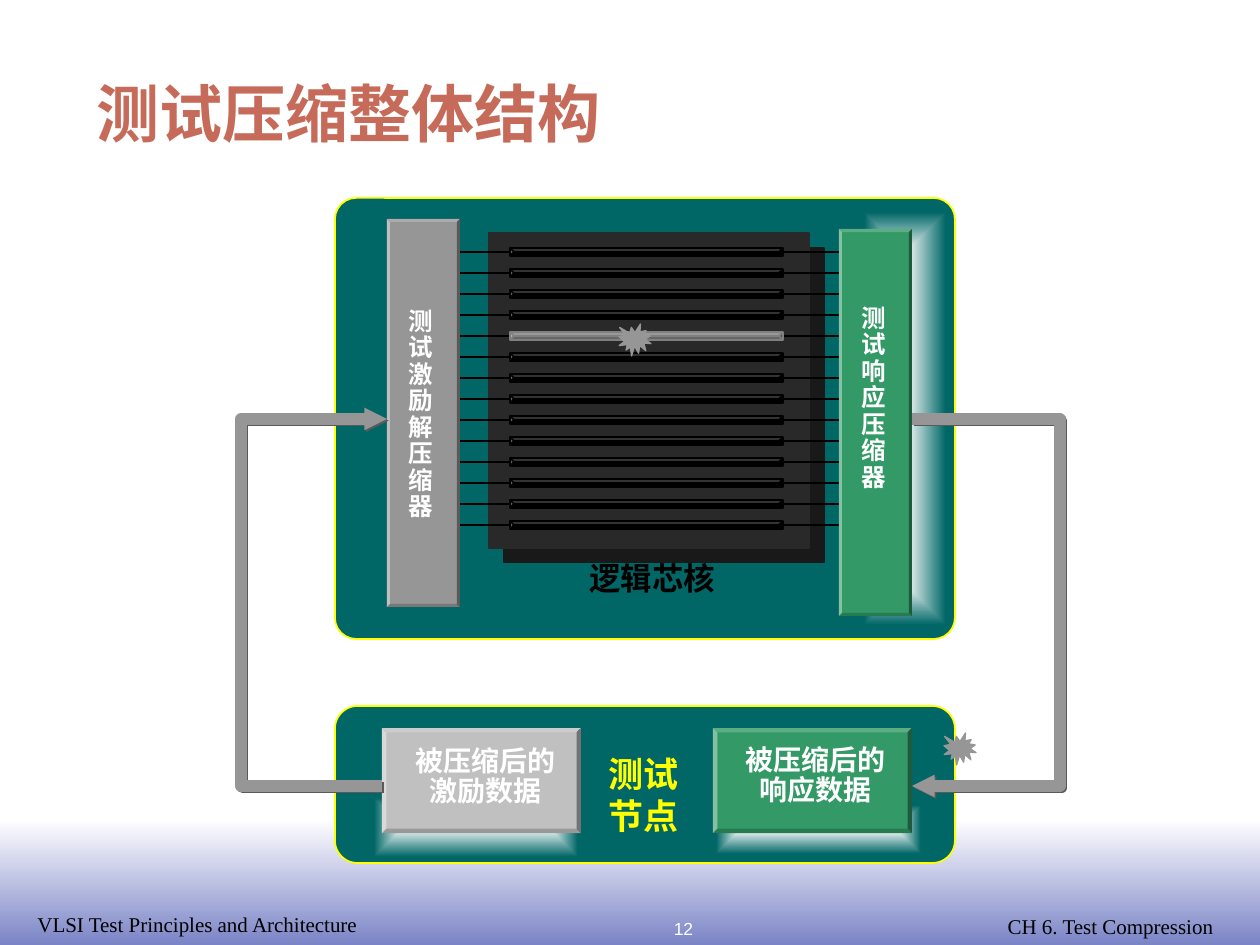
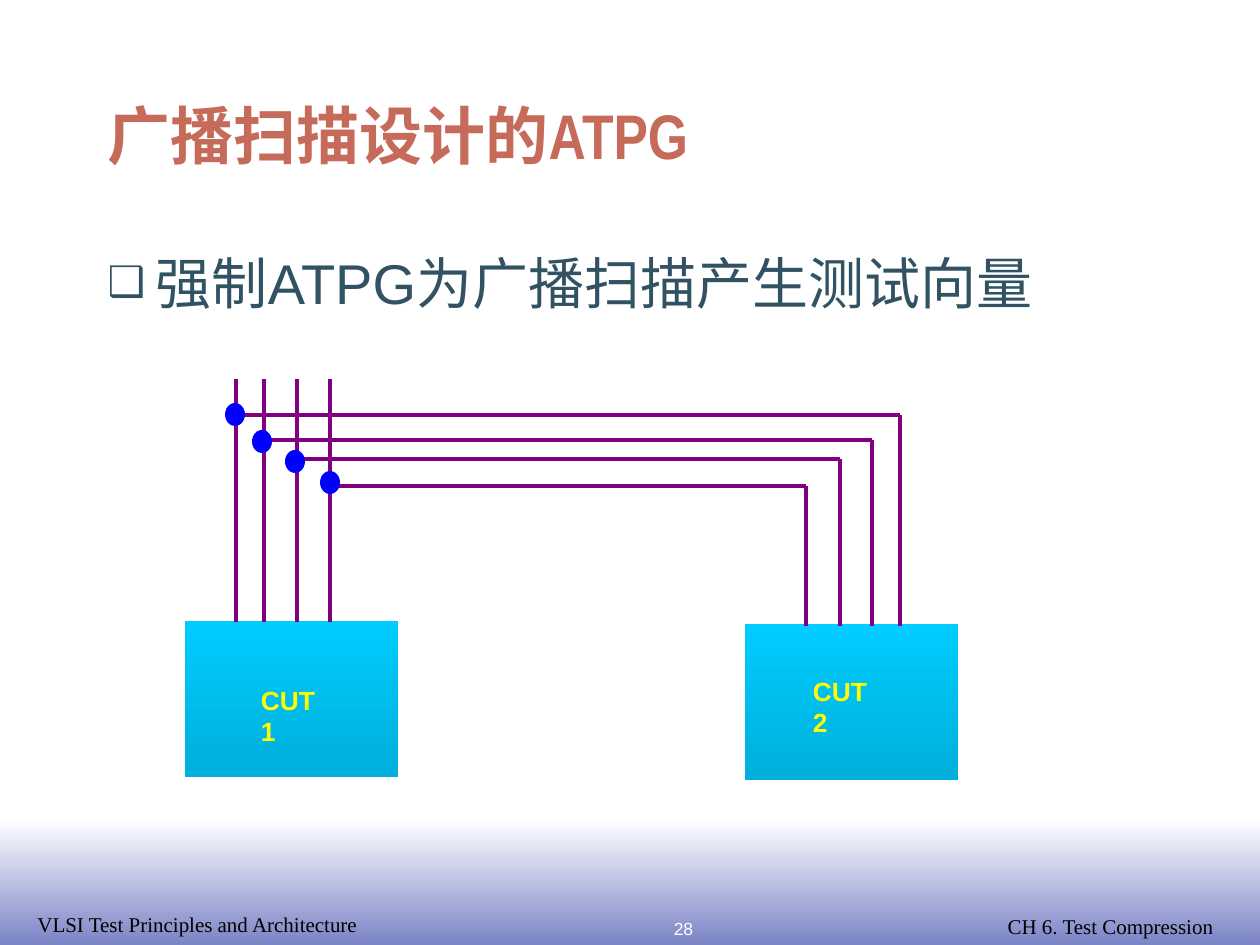
from lxml.etree import SubElement
from pptx import Presentation
from pptx.dml.color import RGBColor
from pptx.enum.shapes import MSO_CONNECTOR, MSO_SHAPE as SHAPE
from pptx.enum.text import MSO_ANCHOR, MSO_AUTO_SIZE, PP_ALIGN as ALIGN
from pptx.oxml.ns import qn
from pptx.util import Pt

SCALE = 914400 / 126
WHITE = RGBColor(0xFF, 0xFF, 0xFF)
BLACK = RGBColor(0, 0, 0)
YELLOW = RGBColor(0xFF, 0xFF, 0)
RUST = RGBColor(0xC6, 0x6B, 0x5A)
SLATE = RGBColor(0x31, 0x52, 0x63)
LILAC = RGBColor(0x7B, 0x84, 0xC6)
TEAL = RGBColor(0, 0x66, 0x66)
GREEN = RGBColor(0x33, 0x99, 0x66)
COAL = RGBColor(0x29, 0x29, 0x29)
SOOT = RGBColor(0x19, 0x19, 0x19)
DIM = RGBColor(0x5A, 0x5A, 0x5A)
GRAY = RGBColor(0x96, 0x96, 0x96)
MID = RGBColor(0x80, 0x80, 0x80)
SILVER = RGBColor(0xC0, 0xC0, 0xC0)
PURPLE = RGBColor(0x80, 0, 0x80)
BLUE = RGBColor(0, 0, 0xFF)
SKY = RGBColor(0, 0xCC, 0xFF)
DEEP = RGBColor(0, 0xAF, 0xDB)


def px(*nums):
    return [round(n * SCALE) for n in nums]


def node(parent, tag, **attrs):
    return SubElement(parent, qn(tag), {k: str(v) for k, v in attrs.items()})


def shape(slide, kind, box, fill, line=None, width=1, adj=None):
    """Add a preset shape; a list of two colours makes a gradient."""
    item = slide.shapes.add_shape(kind, *px(*box))
    item.shadow.inherit = False
    if isinstance(fill, list):
        item.fill.gradient()
        item.fill.gradient_angle = 270
        for stop, color in zip(item.fill.gradient_stops, fill):
            stop.color.rgb = color
    else:
        item.fill.solid()
        item.fill.fore_color.rgb = fill
    if line is None:
        item.line.fill.background()
    else:
        item.line.color.rgb = line
        item.line.width = Pt(width)
    if adj is not None:
        item.adjustments[0] = adj
    return item


def shade(item, color, dist):
    """Cast a hard shadow down and to the right."""
    item.shadow.inherit = False
    effects = item._element.spPr.find(qn("a:effectLst"))
    outer = node(effects, "a:outerShdw", dist=Pt(dist), dir=2700000,
                 algn="ctr", rotWithShape=0)
    node(outer, "a:srgbClr", val=color)


def glow(slide, box):
    """Draw a rectangle that fades from a white centre to the panel colour."""
    item = shape(slide, SHAPE.RECTANGLE, box, [WHITE, TEAL])
    grad = item._element.spPr.find(qn("a:gradFill"))
    grad.remove(grad.find(qn("a:lin")))
    ring = node(grad, "a:path", path="rect")
    node(ring, "a:fillToRect", l=50000, t=50000, r=50000, b=50000)


def wire(slide, x1, y1, x2, y2, color, width):
    item = slide.shapes.add_connector(MSO_CONNECTOR.STRAIGHT, *px(x1, y1, x2, y2))
    item.line.color.rgb = color
    item.line.width = Pt(width)
    node(item._element.spPr, "a:effectLst")


def style(par, size, color, face="Arial", bold=False, align=ALIGN.LEFT):
    par.alignment = align
    font = par.font
    font.name, font.size, font.bold = face, Pt(size), bold
    font.color.rgb = color


def label(slide, lines, box, size, color, face="Arial", bold=True,
          align=ALIGN.CENTER, gap=None, pad=True):
    frame = slide.shapes.add_textbox(*px(*box)).text_frame
    frame.word_wrap = False
    if not pad:
        frame.margin_left = frame.margin_right = 0
        frame.margin_top = frame.margin_bottom = 0
    frame.text = "\n".join(lines)
    for par in frame.paragraphs:
        if gap:
            par.line_spacing = gap
        style(par, size, color, face, bold, align)


def place(item, box):
    item.left, item.top, item.width, item.height = px(*box)
    item.text_frame.auto_size = MSO_AUTO_SIZE.NONE


def start(deck, layout, title, box, number):
    """Add a slide with its title, bottom band and footers."""
    slide = deck.slides.add_slide(deck.slide_layouts[layout])
    head = slide.shapes.title
    place(head, box)
    head.text_frame.text = title
    head.text_frame.vertical_anchor = MSO_ANCHOR.BOTTOM
    style(head.text_frame.paragraphs[0], 36, RUST, "Arial Narrow", True)
    shape(slide, SHAPE.RECTANGLE, (0, 819, 1260, 126), [WHITE, LILAC])
    serif = "Times New Roman"
    label(slide, ["VLSI Test Principles and Architecture"], (25, 905, 348, 38),
          12, BLACK, serif, False, ALIGN.LEFT)
    label(slide, [str(number)], (537, 912, 293, 33), 10, WHITE, bold=False)
    label(slide, ["CH 6. Test Compression"], (994, 907, 233, 38),
          12, BLACK, serif, False)
    return slide


def panel(slide, box, adj):
    shape(slide, SHAPE.ROUNDED_RECTANGLE, box, TEAL, YELLOW, adj=adj)


def block(slide, box, fill):
    shape(slide, SHAPE.BEVEL, box, fill, adj=0.042)


def burst(slide, x, y):
    shape(slide, SHAPE.EXPLOSION1, (x, y, 32, 32), GRAY, GRAY, 0.75)


def core(slide, x, y, chains=14, faulty=4):
    """Draw the logic core with its scan chains."""
    body = shape(slide, SHAPE.RECTANGLE, (x, y, 320, 315), COAL, COAL, 0.75)
    shade(body, SOOT, 12.1)
    for i in range(chains):
        mid = y + 19 + 21 * i
        color = MID if i == faulty else BLACK
        wire(slide, x - 39, mid, x + 360, mid, BLACK, 1)
        shape(slide, SHAPE.BEVEL, (x + 21, mid - 4, 273, 8), color, color, adj=0.5)


def loop(slide, points):
    """Draw a thick bent arrow through the points."""
    first, *rest = [px(*p) for p in points]
    pen = slide.shapes.build_freeform(*first, scale=1)
    pen.add_line_segments(rest, close=False)
    item = pen.convert_to_shape()
    item.fill.background()
    item.line.color.rgb = GRAY
    item.line.width = Pt(6.5)
    ln = item._element.spPr.find(qn("a:ln"))
    node(ln, "a:tailEnd", type="triangle", w="sm", len="sm")
    shade(item, DIM, 1.4)


def chip(slide, x, y):
    """Draw the chip: both codecs around the core."""
    panel(slide, (x, y, 620, 441), 0.048)
    core(slide, x + 154, y + 35)
    glow(slide, (x + 529, y + 14, 82, 413))
    block(slide, (x + 504, y + 31, 73, 387), GREEN)
    label(slide, "测试响应压缩器", (x + 514, y + 102, 49, 198), 14, WHITE, gap=0.9)
    block(slide, (x + 52, y + 21, 73, 388), GRAY)
    label(slide, "测试激励解压缩器", (x + 61, y + 105, 49, 225), 14, WHITE, gap=0.9)
    label(slide, ["逻辑芯核"], (x + 242, y + 355, 151, 50), 18, BLACK)
    burst(slide, x + 284, y + 126)


def tester(slide, x, y):
    """Draw the test node with its two data stores."""
    panel(slide, (x, y, 620, 157), 0.144)
    label(slide, ["测试", "节点"], (x + 261, y + 40, 95, 97), 20, YELLOW,
          align=ALIGN.LEFT)
    stores = [
        (47, SILVER, "激励数据", (39, 92, 204, 59), (68, 35)),
        (378, GREEN, "响应数据", (381, 99, 205, 49), (398, 34)),
    ]
    for left, fill, kind, (gx, gy, gw, gh), (tx, ty) in stores:
        glow(slide, (x + gx, y + gy, gw, gh))
        block(slide, (x + left, y + 22, 199, 105), fill)
        label(slide, ["被压缩后的", kind], (x + tx, y + ty, 165, 73), 16, WHITE,
              "Comic Neue", gap=0.9)
    burst(slide, x + 609, y + 27)


def scheme(deck):
    slide = start(deck, 5, "测试压缩整体结构", (84, 28, 1071, 128), 12)
    chip(slide, 335, 198)
    tester(slide, 335, 706)
    top, low = 419, 786
    loop(slide, [(382, low), (241, low), (241, top), (387, top)])
    loop(slide, [(912, top), (1060, top), (1060, low), (912, low)])


def cut(slide, name, x, y, dx, dy):
    shape(slide, SHAPE.RECTANGLE, (x, y, 213, 156), [SKY, DEEP])
    label(slide, [name], (x + dx, y + dy, 68, 32), 15, YELLOW,
          align=ALIGN.LEFT, pad=False)


def fanout(slide, x, y):
    """Draw two circuits that share their scan inputs."""
    cut(slide, "CUT1", x, y + 242, 76, 63)
    cut(slide, "CUT2", x + 560, y + 245, 68, 51)
    nets = [(51, 36, 715), (79, 61, 687), (112, 80, 655), (145, 107, 621)]
    for near, bus, far in nets:
        wire(slide, x + near, y, x + near, y + 243, PURPLE, 2)
        wire(slide, x + near, y + bus, x + far, y + bus, PURPLE, 2)
        wire(slide, x + far, y + bus, x + far, y + 247, PURPLE, 2)
    for dx, dy in [(40, 24), (67, 51), (100, 71), (135, 92)]:
        shape(slide, SHAPE.OVAL, (x + dx, y + dy, 20, 23), BLUE)


def bullet(par):
    props = par._p.get_or_add_pPr()
    props.set("marL", str(px(48)[0]))
    props.set("indent", str(px(-48)[0]))
    node(node(props, "a:buClr"), "a:srgbClr", val=SLATE)
    node(props, "a:buSzPct", val=75000)
    node(props, "a:buChar", char="❑")


def sharing(deck):
    slide = start(deck, 1, "广播扫描设计的ATPG", (95, 20, 1071, 158), 28)
    body = slide.placeholders[1]
    place(body, (95, 242, 1071, 123))
    body.text_frame.text = "强制ATPG为广播扫描产生测试向量"
    par = body.text_frame.paragraphs[0]
    bullet(par)
    par.space_before = Pt(0)
    style(par, 32, SLATE)
    fanout(slide, 185, 379)


def main():
    deck = Presentation()
    deck.slide_width, deck.slide_height = px(1260, 945)
    scheme(deck)
    sharing(deck)
    deck.save("out.pptx")


if __name__ == "__main__":
    main()
